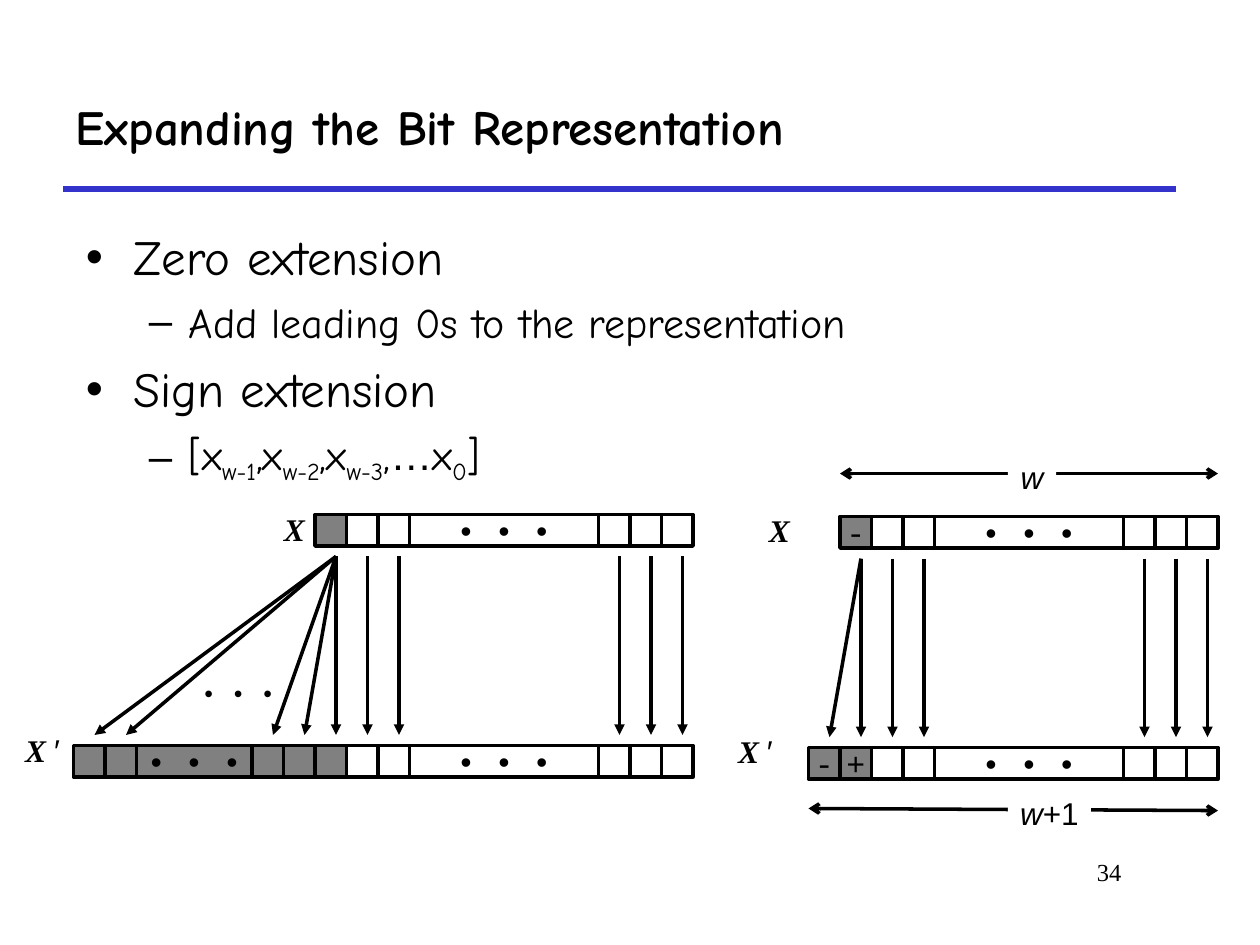
from dataclasses import dataclass, field

from lxml import etree
from pptx import Presentation, util as u
from pptx.dml.color import RGBColor
from pptx.enum import shapes, text
from pptx.oxml import ns

PX = 7620  # 120 px to the inch
BLACK = RGBColor(0x00, 0x00, 0x00)
WHITE = RGBColor(0xFF, 0xFF, 0xFF)
GRAY = RGBColor(0x80, 0x80, 0x80)
BLUE = RGBColor(0x33, 0x33, 0xCC)

DOTS = "• • •"
LEFT, CENTER, RIGHT = text.PP_ALIGN.LEFT, text.PP_ALIGN.CENTER, text.PP_ALIGN.RIGHT
CELL = 30
WIDE = 180
ARROW_INSET = 20

TITLE = {"name": "Comic Neue", "size": u.Pt(28), "bold": True}
TOPIC = {"name": "Comic Neue", "size": u.Pt(28)}
DETAIL = {"name": "Comic Neue", "size": u.Pt(24)}
CODE = {"name": "Courier New", "size": u.Pt(18)}
SMALL_CODE = {"name": "Courier New", "size": u.Pt(14)}
VECTOR = {"name": "Times New Roman", "size": u.Pt(18), "bold": True, "italic": True}
PLAIN = {"name": "Arial", "size": u.Pt(18)}
WIDTH = {**PLAIN, "italic": True}
NUMBER = {"name": "Times New Roman", "size": u.Pt(14)}


@dataclass
class Span:
    words: str
    style: dict
    subscript: bool = False


@dataclass
class Bullet:
    spans: list[Span]
    mark: str
    margin: int
    hanging: int
    before: int


@dataclass
class Cell:
    left: int
    label: str = ""
    width: int = CELL
    fill: RGBColor = WHITE


@dataclass
class Diagram:
    """An X row above an X ′ row that is longer by the extension cells."""
    left: int
    top: int
    sign: str
    new_sign: str
    extension: list[Cell]
    x_label: tuple[int, int]
    x_prime_label: tuple[int, int]
    bits: list[Cell] = field(init=False)

    def __post_init__(self):
        narrow = [CELL, 2 * CELL] + [3 * CELL + WIDE + i * CELL for i in range(3)]
        self.bits = [Cell(self.left + x) for x in narrow]
        self.bits.append(Cell(self.left + 3 * CELL, DOTS, WIDE))


def write(para, spans: list[Span], align=LEFT) -> None:
    para.alignment = align
    for span in spans:
        run = para.add_run()
        run.text = span.words
        for name, value in span.style.items():
            setattr(run.font, name, value)
        run.font.color.rgb = BLACK
        if span.subscript:
            run.font._element.set("baseline", "-25000")


def add_label(page, area: tuple, spans: list[Span], align=CENTER, inset=0, fill=None) -> None:
    """A one-line text; with no side inset it has the full box width."""
    box = page.shapes.add_textbox(*(v * PX for v in area))
    frame = box.text_frame
    frame.word_wrap = False
    frame.margin_left = frame.margin_right = inset * PX
    if fill is not None:
        box.fill.solid()
        box.fill.fore_color.rgb = fill
    write(frame.paragraphs[0], spans, align)


def add_bullets(page, area: tuple, bullets: list[Bullet]) -> None:
    frame = page.shapes.add_textbox(*(v * PX for v in area)).text_frame
    frame.word_wrap = True
    for i, bullet in enumerate(bullets):
        para = frame.add_paragraph() if i else frame.paragraphs[0]
        props = para._p.get_or_add_pPr()
        props.set("marL", str(bullet.margin * PX))
        props.set("indent", str(-bullet.hanging * PX))
        etree.SubElement(props, ns.qn("a:buFont")).set("typeface", "Arial")
        etree.SubElement(props, ns.qn("a:buChar")).set("char", bullet.mark)
        if i:
            para.space_before = u.Pt(bullet.before)
        write(para, bullet.spans)


def add_cell(page, cell: Cell, top: int) -> None:
    area = (cell.left, top, cell.width, CELL)
    box = page.shapes.add_shape(shapes.MSO_SHAPE.RECTANGLE, *(v * PX for v in area))
    box.shadow.inherit = False
    box.fill.solid()
    box.fill.fore_color.rgb = cell.fill
    box.line.color.rgb = BLACK
    box.line.width = u.Pt(2)
    if cell.label:
        box.text_frame.word_wrap = False
        box.text_frame.vertical_anchor = text.MSO_ANCHOR.MIDDLE
        write(box.text_frame.paragraphs[0], [Span(cell.label, CODE)], CENTER)


def add_line(page, start: tuple, end: tuple, color=BLACK, width=2, **ends: str) -> None:
    line = page.shapes.add_connector(
        shapes.MSO_CONNECTOR.STRAIGHT, *(v * PX for v in start + end))
    line.line.color.rgb = color
    line.line.width = u.Pt(width)
    outline = line.line._get_or_add_ln()
    for tag, kind in ends.items():
        etree.SubElement(outline, ns.qn(f"a:{tag}")).set("type", kind)
    etree.SubElement(line._element.spPr, ns.qn("a:effectLst"))


def add_diagram(page, diagram: Diagram) -> None:
    upper, lower = diagram.top, diagram.top + 220
    # Both rows of bits
    for top, label in ((upper, diagram.sign), (lower, diagram.new_sign)):
        for cell in [Cell(diagram.left, label, fill=GRAY), *diagram.bits]:
            add_cell(page, cell, top)
    for cell in diagram.extension:
        add_cell(page, cell, lower)
    # Arrows: the sign bit fans out, the others go straight down
    sign_x = diagram.left + ARROW_INSET
    copies = [(sign_x, sign_x)]
    copies += [(sign_x, c.left + ARROW_INSET) for c in diagram.extension if c.width == CELL]
    copies += [(c.left + ARROW_INSET,) * 2 for c in diagram.bits if c.width == CELL]
    for source, target in copies:
        add_line(page, (source, upper + 40), (target, lower - 10), tailEnd="triangle")
    # Row names
    name = Span("X ", VECTOR)
    add_label(page, (*diagram.x_label, 52, 48), [name])
    add_label(page, (*diagram.x_prime_label, 61, 48), [name, Span("′", PLAIN)])


def sign_formula() -> list[Span]:
    spans = [Span("[x", DETAIL)]
    for i, follow in ((1, ",x"), (2, ",x"), (3, ",")):
        spans += [Span(f"w-{i}", DETAIL, True), Span(follow, DETAIL)]
    return spans + [Span("…", {**DETAIL, "name": "Arial"}), Span("x", DETAIL),
                    Span("0", DETAIL, True), Span("]", DETAIL)]


def topic(words: str) -> Bullet:
    return Bullet([Span(words, TOPIC)], "•", 45, 45, 7)


def detail(spans: list[Span]) -> Bullet:
    return Bullet(spans, "–", 98, 38, 6)


def main() -> None:
    deck = Presentation()
    deck.slide_width, deck.slide_height = 1200 * PX, 900 * PX
    page = deck.slides.add_slide(deck.slide_layouts[5])

    # Title and rule
    title = page.shapes.title
    for name, value in {"left": 60, "top": 60, "width": 1090, "height": 120}.items():
        setattr(title, name, value * PX)
    title.text_frame.vertical_anchor = text.MSO_ANCHOR.MIDDLE
    write(title.text_frame.paragraphs[0], [Span("Expanding the Bit Representation", TITLE)])
    add_line(page, (60, 180), (1120, 180), BLUE, 3)

    # Bullets
    add_bullets(page, (70, 210, 1040, 580), [
        topic("Zero extension"),
        detail([Span("Add leading 0s to the representation", DETAIL)]),
        topic("Sign extension"),
        detail(sign_formula()),
    ])

    # Extension by many bits, and by one bit
    many = [Cell(x, fill=GRAY) for x in (70, 100, 240, 270)]
    many.append(Cell(130, DOTS, 110, GRAY))
    add_diagram(page, Diagram(300, 490, "", "", many, (258, 480), (10, 690)))
    add_label(page, (180, 640, 94, 41), [Span(DOTS, SMALL_CODE)])
    one = [Cell(770, "-", fill=GRAY)]
    add_diagram(page, Diagram(800, 492, "-", "+", one, (720, 481), (689, 691)))

    # Word widths
    w = Span("w", WIDTH)
    for start, end, area, spans in (
        ((770, 770), (1160, 772), (960, 750, 79, 48), [w, Span("+1", PLAIN)]),
        ((800, 451), (1160, 451), (960, 430, 46, 48), [w]),
    ):
        add_line(page, start, end, headEnd="arrow", tailEnd="arrow")
        add_label(page, area, spans, fill=WHITE)

    # Page number
    add_label(page, (910, 810, 170, 60), [Span("34", NUMBER)], RIGHT, 12)
    deck.save("out.pptx")


if __name__ == "__main__":
    main()
